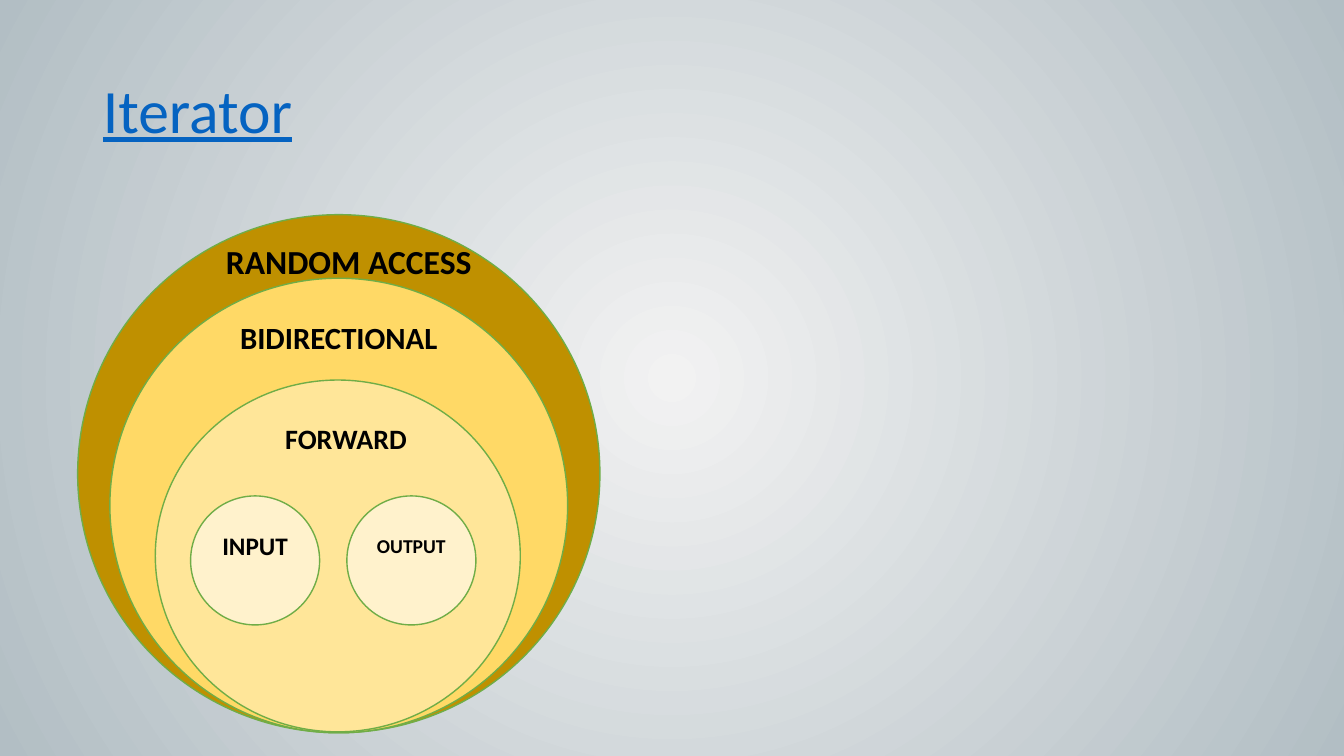
from lxml import etree
from pptx import Presentation
from pptx.dml.color import RGBColor
from pptx.enum.shapes import MSO_SHAPE as Shape
from pptx.enum.text import MSO_ANCHOR as Anchor, PP_ALIGN as Align
from pptx.oxml.ns import qn
from pptx.util import Inches, Pt

BLACK = RGBColor(0x00, 0x00, 0x00)
LINK_BLUE = RGBColor(0x05, 0x63, 0xC1)
OUTLINE_GREEN = RGBColor(0x70, 0xAD, 0x47)
DARK_GOLD = RGBColor(0xBF, 0x90, 0x00)
GOLD = RGBColor(0xFF, 0xD9, 0x66)
LIGHT_GOLD = RGBColor(0xFF, 0xE6, 0x99)
CREAM = RGBColor(0xFF, 0xF2, 0xCC)
CENTRE_GREY = RGBColor(0xF2, 0xF2, 0xF2)
EDGE_GREY = RGBColor(0xB2, 0xBE, 0xC4)


class IteratorSlide:
    font_name = "Calibri"

    def __init__(self, presentation):
        self.slide = presentation.slides.add_slide(presentation.slide_layouts[5])

    def radial_background(self, centre, edge):
        """Fill the background with a circular gradient from the middle out."""
        fill = self.slide.background.fill
        fill.gradient()
        for stop, color, position in zip(fill.gradient_stops, (centre, edge), (0, 1)):
            stop.color.rgb = color
            stop.position = position
        gradient = self.slide.element.find(".//" + qn("a:gradFill"))
        gradient.remove(gradient.find(qn("a:lin")))
        circle = etree.SubElement(gradient, qn("a:path"), path="circle")
        etree.SubElement(circle, qn("a:fillToRect"), l="50000", t="50000", r="50000", b="50000")

    def set_text(self, frame, text, size, color=BLACK, bold=True, align=Align.CENTER):
        frame.text = text
        paragraph = frame.paragraphs[0]
        paragraph.alignment = align
        font = paragraph.font
        font.name, font.size, font.bold = self.font_name, Pt(size), bold
        font.color.rgb = color
        return paragraph

    def title(self, text, left, top, width, height):
        title = self.slide.shapes.title
        title.left, title.top = Inches(left), Inches(top)
        title.width, title.height = Inches(width), Inches(height)
        frame = title.text_frame
        frame.vertical_anchor = Anchor.MIDDLE
        paragraph = self.set_text(frame, text, 44, LINK_BLUE, False, Align.LEFT)
        paragraph.line_spacing = 0.9
        paragraph.font.underline = True

    def circle(self, left, top, width, height, color):
        shape = self.slide.shapes.add_shape(
            Shape.FLOWCHART_CONNECTOR, Inches(left), Inches(top), Inches(width), Inches(height))
        shape.shadow.inherit = False
        shape.fill.solid()
        shape.fill.fore_color.rgb = color
        shape.line.color.rgb = OUTLINE_GREEN
        shape.line.width = Pt(1)
        return shape

    def labelled_circle(self, text, size, left, top, diameter):
        """Draw a small circle whose label sits a little above the middle."""
        frame = self.circle(left, top, diameter, diameter, CREAM).text_frame
        frame.margin_left = frame.margin_right = 0
        frame.margin_bottom = Inches(0.35)
        frame.vertical_anchor = Anchor.MIDDLE
        self.set_text(frame, text, size)

    def label(self, text, size, left, top, width, height, align=Align.CENTER):
        box = self.slide.shapes.add_textbox(
            Inches(left), Inches(top), Inches(width), Inches(height))
        box.text_frame.word_wrap = True
        self.set_text(box.text_frame, text, size, align=align)


def main():
    presentation = Presentation()
    presentation.slide_width = Inches(13.33)
    presentation.slide_height = Inches(7.5)

    page = IteratorSlide(presentation)
    page.radial_background(CENTRE_GREY, EDGE_GREY)
    page.title("Iterator", 0.92, 0.4, 11.5, 1.45)

    page.circle(0.77, 2.13, 5.18, 5.14, DARK_GOLD)
    page.label("RANDOM ACCESS", 24, 2.08, 2.34, 2.76, 0.5)
    page.circle(1.09, 2.76, 4.54, 4.51, GOLD)
    page.label("BIDIRECTIONAL", 22, 2.25, 3.11, 2.22, 0.47)
    page.circle(1.54, 3.77, 3.62, 3.49, LIGHT_GOLD)
    page.label("FORWARD", 20, 2.73, 4.13, 1.57, 0.44, Align.LEFT)

    for text, size, left in (("OUTPUT", 14, 3.44), ("INPUT", 18, 1.89)):
        page.labelled_circle(text, size, left, 4.92, 1.28)

    presentation.save("out.pptx")


if __name__ == "__main__":
    main()
